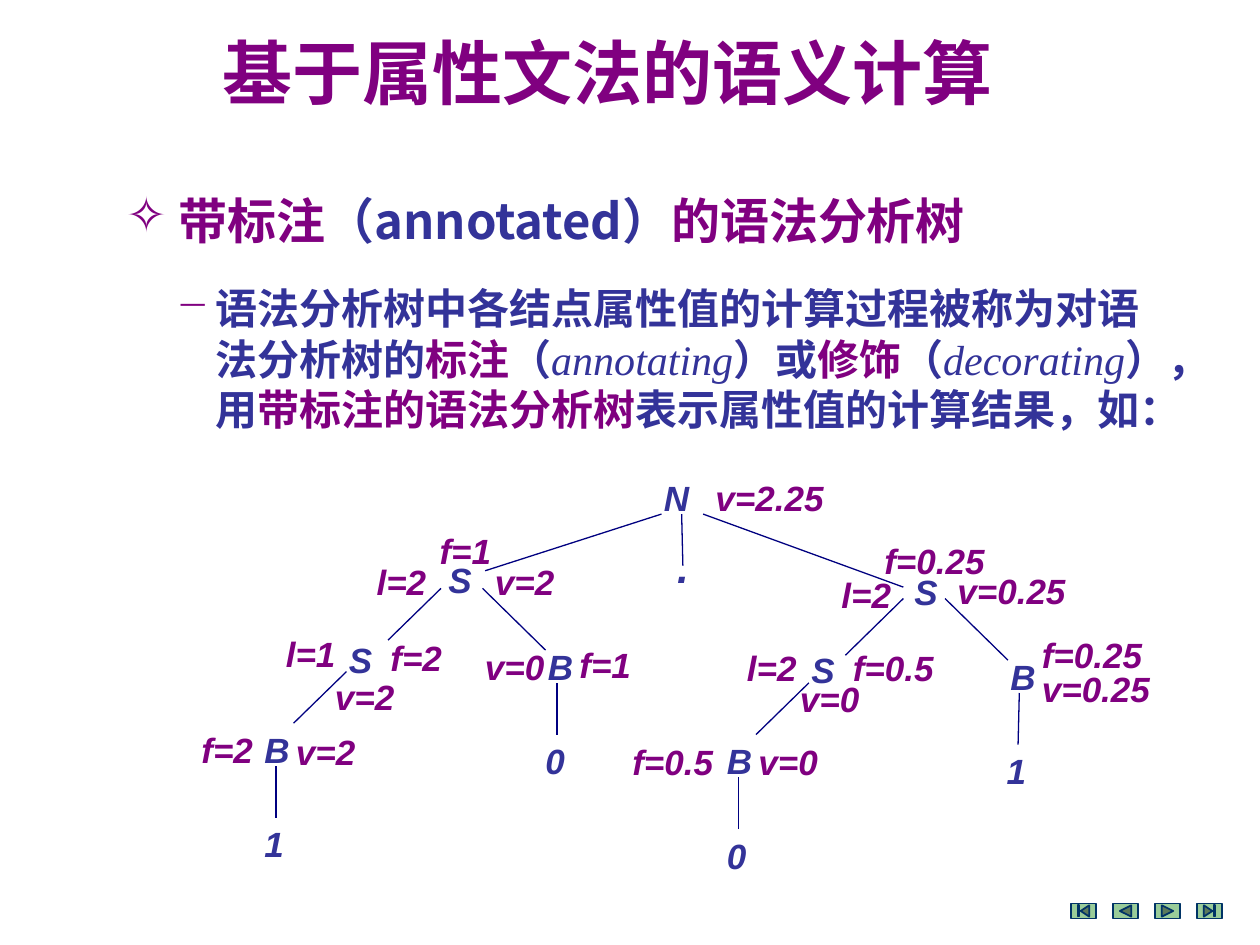
from lxml import etree
from pptx import Presentation
from pptx.dml.color import RGBColor
from pptx.enum.shapes import MSO_CONNECTOR, MSO_SHAPE
from pptx.enum.text import PP_ALIGN
from pptx.oxml.ns import qn
from pptx.util import Inches, Pt

PURPLE = RGBColor(0x80, 0x00, 0x80)
BLUE = RGBColor(0x33, 0x33, 0x99)
NAVY = RGBColor(0x00, 0x00, 0x80)
GREEN = RGBColor(0x99, 0xCC, 0x99)
DARK = RGBColor(0x00, 0x33, 0x66)
CJK = "Noto Sans CJK SC"
TIMES = "Times New Roman"

# Grammar symbols: text, left, top, width
SYMBOLS = [
    ("N", 5.17, 3.73, 0.5),
    ("S", 3.46, 4.38, 0.38), ("S", 7.16, 4.48, 0.43),
    ("S", 2.67, 5.02, 0.39), ("B", 4.25, 5.07, 0.42),
    ("S", 6.34, 5.1, 0.39), ("B", 7.92, 5.15, 0.42),
    ("B", 2, 5.73, 0.42), ("0", 4.23, 5.82, 0.36),
    ("B", 5.67, 5.82, 0.42), ("1", 7.89, 5.9, 0.36),
    ("1", 2, 6.48, 0.36), ("0", 5.67, 6.57, 0.36),
]

# Attribute values: text, left, top, width
ATTRIBUTES = [
    ("v=2.25", 5.58, 3.73, 1.25),
    ("f=1", 3.39, 4.15, 0.69), ("l=2", 2.89, 4.4, 0.69), ("v=2", 3.83, 4.4, 0.83),
    ("f=0.25", 6.92, 4.23, 1.08), ("l=2", 6.58, 4.5, 0.67), ("v=0.25", 7.5, 4.47, 1.08),
    ("l=1", 2.17, 4.97, 0.61), ("f=2", 3, 5, 0.67), ("v=2", 2.56, 5.31, 0.69),
    ("v=0", 3.75, 5.07, 0.75), ("f=1", 4.5, 5.06, 0.67),
    ("l=2", 5.83, 5.08, 0.67), ("f=0.5", 6.67, 5.08, 0.92), ("v=0", 6.25, 5.33, 0.75),
    ("f=0.25", 8.17, 4.98, 1.08), ("v=0.25", 8.17, 5.25, 1.08),
    ("f=2", 1.5, 5.73, 0.67), ("v=2", 2.25, 5.75, 0.75),
    ("f=0.5", 4.92, 5.83, 1), ("v=0", 5.92, 5.83, 0.75),
]

# Tree edges: x1, y1, x2, y2
EDGES = [
    (3.85, 4.53, 5.25, 4.08), (5.42, 4.49, 5.41, 4.08), (7.17, 4.66, 5.58, 4.08),
    (3.08, 5.08, 3.5, 4.67), (4.33, 5.16, 3.83, 4.67),
    (6.71, 5.2, 7.17, 4.75), (8, 5.24, 7.5, 4.75),
    (2.33, 5.74, 2.75, 5.33), (4.42, 5.83, 4.42, 5.42),
    (6, 5.83, 6.42, 5.42), (8.08, 5.91, 8.09, 5.5),
    (2.19, 6.49, 2.19, 6.08), (5.86, 6.58, 5.86, 6.17),
]

BUTTONS = [
    MSO_SHAPE.ACTION_BUTTON_BEGINNING,
    MSO_SHAPE.ACTION_BUTTON_BACK_OR_PREVIOUS,
    MSO_SHAPE.ACTION_BUTTON_FORWARD_OR_NEXT,
    MSO_SHAPE.ACTION_BUTTON_END,
]


def add_box(slide, x, y, w, h):
    tf = slide.shapes.add_textbox(Inches(x), Inches(y), Inches(w), Inches(h)).text_frame
    tf.word_wrap = True
    return tf


def set_indent(p, margin, indent, bullet=None):
    pPr = p._p.get_or_add_pPr()
    pPr.set("marL", str(Inches(margin)))
    pPr.set("indent", str(Inches(indent)))
    if bullet:
        color = etree.SubElement(pPr, qn("a:buClr"))
        etree.SubElement(color, qn("a:srgbClr")).set("val", str(PURPLE))
        etree.SubElement(pPr, qn("a:buChar")).set("char", bullet)


def add_run(p, text, size, color, font=CJK, bold=True, italic=False):
    r = p.add_run()
    r.text = text
    r.font.name = font
    r.font.size = Pt(size)
    r.font.bold = bold
    r.font.italic = italic
    r.font.color.rgb = color
    latin = r._r.get_or_add_rPr().find(qn("a:latin"))
    ea = etree.Element(qn("a:ea"))
    ea.set("typeface", CJK)
    latin.addnext(ea)


def add_label(slide, text, x, y, w, color, size=20, h=0.43):
    p = add_box(slide, x, y, w, h).paragraphs[0]
    add_run(p, text, size, color, "Arial", italic=True)
    return p


def add_edge(slide, x1, y1, x2, y2):
    line = slide.shapes.add_connector(
        MSO_CONNECTOR.STRAIGHT, Inches(x1), Inches(y1), Inches(x2), Inches(y2))
    line.line.color.rgb = NAVY
    line.line.width = Pt(0.75)
    etree.SubElement(line._element.spPr, qn("a:effectLst"))


def add_button(slide, kind, x):
    s = slide.shapes.add_shape(kind, Inches(x), Inches(7.17), Inches(0.2), Inches(0.12))
    s.shadow.inherit = False
    s.fill.solid()
    s.fill.fore_color.rgb = GREEN
    s.line.color.rgb = DARK
    s.line.width = Pt(1)


def add_title(slide):
    p = add_box(slide, 1.67, 0.21, 6.39, 0.7).paragraphs[0]
    p.line_spacing = Pt(46)
    add_run(p, "基于属性文法的语义计算", 40, PURPLE, "Arial")


def add_heading(slide):
    p = add_box(slide, 0.9, 1.42, 8.74, 0.57).paragraphs[0]
    set_indent(p, 0.42, -0.42, "✧")
    p.line_spacing = Pt(37)
    add_run(p, "带标注", 28, PURPLE)
    add_run(p, "（annotated）", 28, BLUE)
    add_run(p, "的语法分析树", 28, PURPLE)


def add_body(slide):
    tf = add_box(slide, 1.3, 2.19, 8.51, 1.3)
    lines = [
        [("语法分析树中各结点属性值的计算过程被称为对语", BLUE)],
        [("法分析树的", BLUE), ("标注", PURPLE), ("（", BLUE), ("annotating", None),
         ("）或", BLUE), ("修饰", PURPLE), ("（", BLUE), ("decorating", None), ("），", BLUE)],
        [("用", BLUE), ("带标注的语法分析树", PURPLE), ("表示属性值的计算结果，如：", BLUE)],
    ]
    for i, parts in enumerate(lines):
        if i == 0:
            p = tf.paragraphs[0]
            set_indent(p, 0.31, -0.31, "−")
        else:
            p = tf.add_paragraph()
            set_indent(p, 0, 0.31)
        p.line_spacing = Pt(29)
        for text, color in parts:
            term = color is None  # English terms are light italics
            add_run(p, text, 24, color or BLUE, TIMES, bold=not term, italic=term)


def main():
    prs = Presentation()
    prs.slide_width, prs.slide_height = Inches(10), Inches(7.5)
    slide = prs.slides.add_slide(prs.slide_layouts[6])

    # Text
    add_title(slide)
    add_heading(slide)
    add_body(slide)

    # Annotated parse tree
    for edge in EDGES:
        add_edge(slide, *edge)
    for symbol in SYMBOLS:
        add_label(slide, *symbol, BLUE)
    point = add_label(slide, ".", 5.25, 4.25, 0.34, BLUE, size=24, h=0.5)
    point.alignment = PP_ALIGN.CENTER
    for attribute in ATTRIBUTES:
        add_label(slide, *attribute, PURPLE)

    # Navigation buttons
    for i, kind in enumerate(BUTTONS):
        add_button(slide, kind, 8.5 + i / 3)

    prs.save("out.pptx")


if __name__ == "__main__":
    main()
